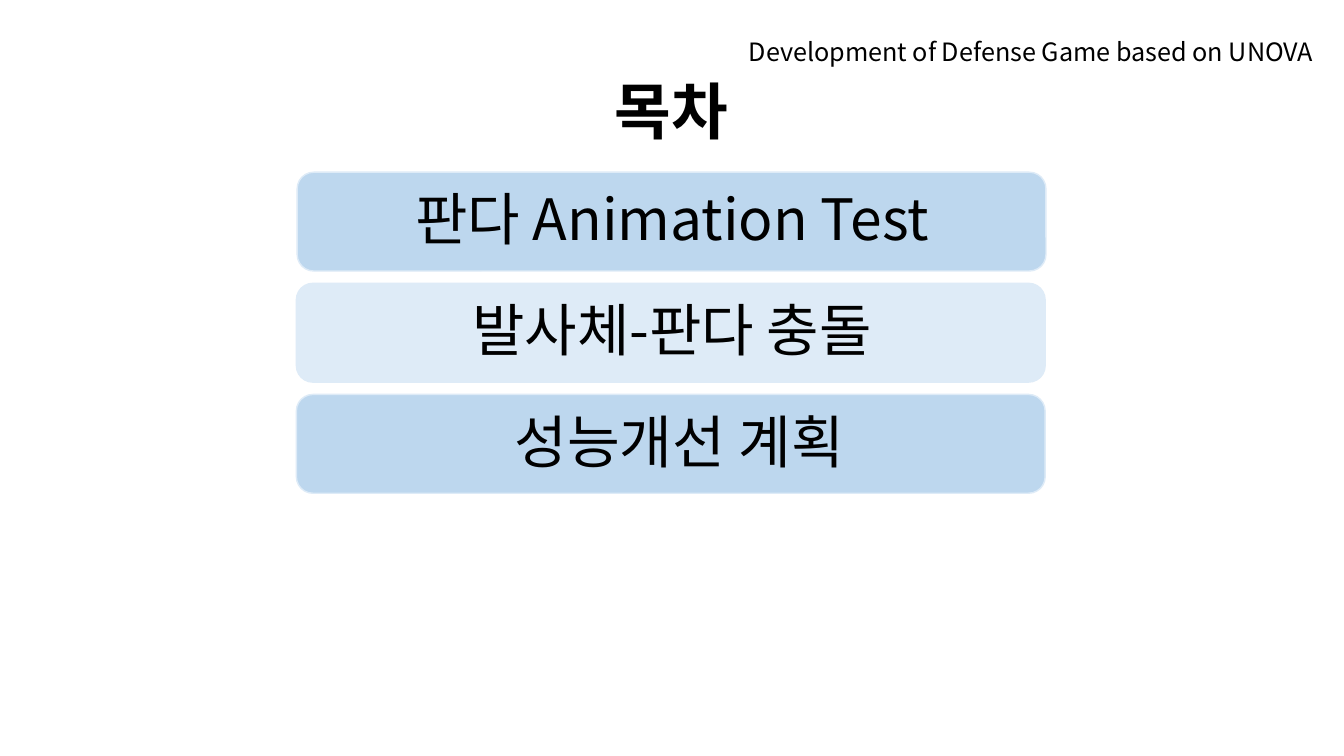
from pptx import Presentation
from pptx.dml.color import RGBColor
from pptx.enum.shapes import MSO_SHAPE
from pptx.enum.text import MSO_ANCHOR, MSO_AUTO_SIZE, PP_ALIGN
from pptx.util import Cm, Pt


def color(hex_code):
    return RGBColor.from_string(hex_code)


def write(frame, text, size, bold=False, align=PP_ALIGN.LEFT,
          spacing=1.0, anchor=MSO_ANCHOR.TOP, grow=False,
          font="Noto Sans CJK KR", ink="000000"):
    frame.word_wrap = True
    frame.vertical_anchor = anchor
    frame.auto_size = MSO_AUTO_SIZE.SHAPE_TO_FIT_TEXT if grow else MSO_AUTO_SIZE.NONE
    paragraph = frame.paragraphs[0]
    paragraph.alignment = align
    paragraph.line_spacing = spacing
    run = paragraph.add_run()
    run.text = text
    run.font.name = font
    run.font.size = Pt(size)
    run.font.bold = bold
    run.font.color.rgb = color(ink)


class ContentsSlide:
    border = "DEEBF7"

    def __init__(self, presentation):
        self.slide = presentation.slides.add_slide(presentation.slide_layouts[6])

    def label(self, left, top, width, height, text, size, **style):
        box = self.slide.shapes.add_textbox(Cm(left), Cm(top), Cm(width), Cm(height))
        write(box.text_frame, text, size, **style)

    def bar(self, left, top, width, height, fill):
        panel = self.slide.shapes.add_shape(
            MSO_SHAPE.ROUNDED_RECTANGLE, Cm(left), Cm(top), Cm(width), Cm(height))
        panel.shadow.inherit = False
        panel.fill.solid()
        panel.fill.fore_color.rgb = color(fill)
        panel.line.color.rgb = color(self.border)
        panel.line.width = Pt(1)


def main():
    presentation = Presentation()
    presentation.slide_width = Cm(33.87)
    presentation.slide_height = Cm(19.05)
    contents = ContentsSlide(presentation)

    contents.label(15.24, 1.04, 29.21, 3.68, "목차", 44, bold=True,
                   spacing=0.9, anchor=MSO_ANCHOR.MIDDLE)
    contents.label(18.62, 0.79, 16.71, 1.02,
                   "Development of Defense Game based on UNOVA", 18, grow=True)

    tight = {"size": 40.7, "spacing": 0.8}
    loose = {"size": 41, "grow": True}
    topics = [
        ("판다 Animation Test", 7.49, "BDD7EE", (9.37, 4.83, 15.14, 1.75), tight),
        ("발사체-판다 충돌", 7.47, "DEEBF7", (9.37, 7.62, 15.14, 1.75), tight),
        ("성능개선 계획", 7.47, "BDD7EE", (8.84, 10.11, 16.56, 2.01), loose),
    ]
    first_top, pitch = 4.34, 2.8
    for row, (topic, left, fill, place, style) in enumerate(topics):
        contents.bar(left, first_top + row * pitch, 18.87, 2.49, fill)
        contents.label(*place, text=topic, align=PP_ALIGN.CENTER, **style)

    presentation.save("out.pptx")


if __name__ == "__main__":
    main()
